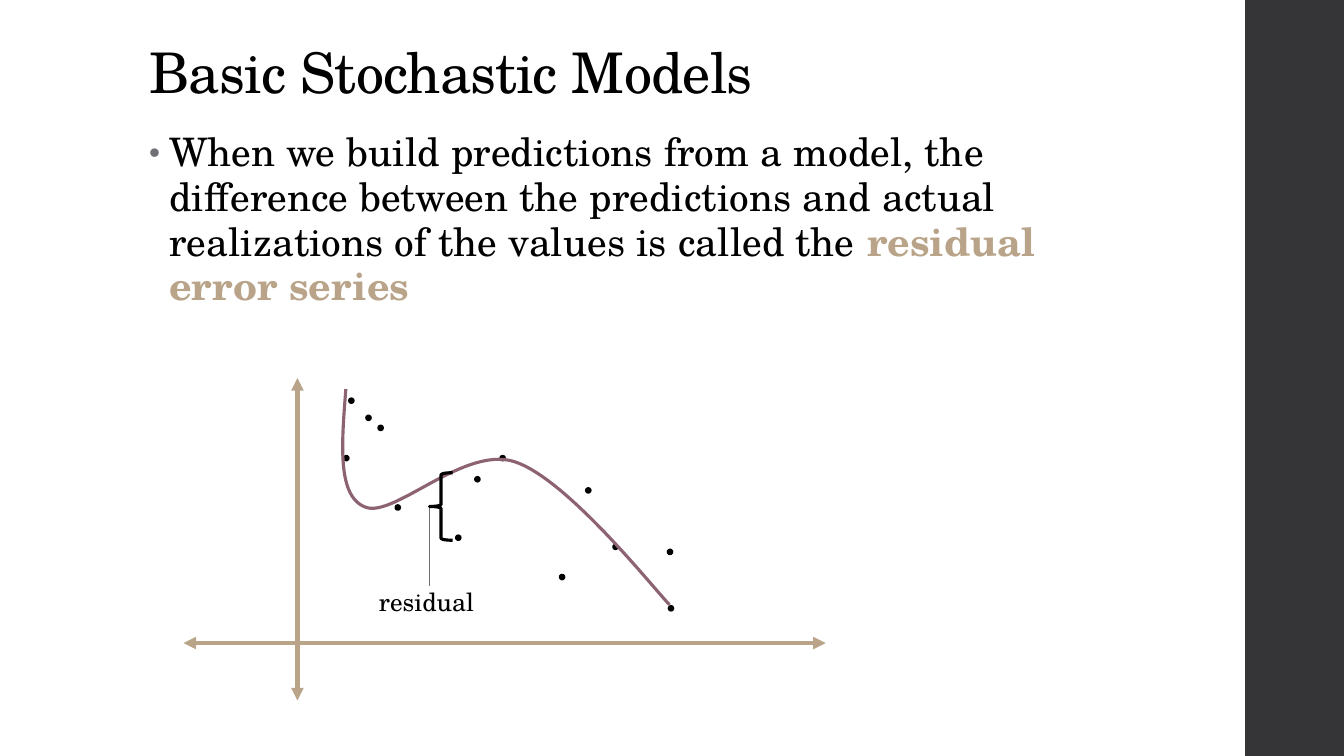
from dataclasses import dataclass

from lxml.etree import SubElement
from pptx import Presentation
from pptx.dml.color import RGBColor
from pptx.enum.shapes import MSO_CONNECTOR as Connector, MSO_SHAPE as Shape
from pptx.enum.text import MSO_ANCHOR as Anchor, PP_ALIGN as Align
from pptx.oxml.ns import qn
from pptx.util import Inches, Pt


@dataclass(frozen=True)
class Theme:
    font: str = "TeX Gyre Schola"
    ink: str = "000000"
    sand: str = "B9A489"
    plum: str = "8D6374"
    gray: str = "6F6F74"
    charcoal: str = "353537"
    title: int = 40
    body: int = 28
    label: int = 18


theme = Theme()


def color(name):
    return RGBColor.from_string(name)


def add_text(para, text, size, ink=theme.ink, bold=False, tracking=0):
    """Add a formatted span; tracking is in points."""
    span = para.add_run()
    span.text = text
    span.font.name = theme.font
    span.font.size = Pt(size)
    span.font.bold = bold
    span.font.color.rgb = color(ink)
    if tracking:
        span.font._element.set("spc", str(round(tracking * 100)))


deck = Presentation()
deck.slide_width, deck.slide_height = Inches(13.33), Inches(7.5)
page = deck.slides.add_slide(deck.slide_layouts[5])
shapes = page.shapes

# Side band
band = shapes.add_shape(Shape.RECTANGLE, Inches(12.35), 0, Inches(1), Inches(7.5))
band.shadow.inherit = False
band.fill.solid()
band.fill.fore_color.rgb = color(theme.charcoal)
band.line.fill.background()

# Title
title = shapes.title
title.left, title.top = Inches(1.38), Inches(0.4)
title.width, title.height = Inches(10.6), Inches(1.45)
title.text_frame.vertical_anchor = Anchor.TOP
title.text_frame.word_wrap = True
para = title.text_frame.paragraphs[0]
para.alignment = Align.LEFT
para.line_spacing = 0.9
add_text(para, "Basic Stochastic Models", theme.title, tracking=-0.5)

# Definition
box = shapes.add_textbox(Inches(1.38), Inches(1.25), Inches(9.4), Inches(2.15))
box.text_frame.word_wrap = True
para = box.text_frame.paragraphs[0]
para.line_spacing = 0.95
para.space_before, para.space_after = Pt(14), Pt(2)
bullet = para._p.get_or_add_pPr()
bullet.set("marL", str(Inches(0.2)))
bullet.set("indent", str(Inches(-0.2)))
SubElement(SubElement(bullet, qn("a:buClr")), qn("a:srgbClr"), val=theme.gray)
SubElement(bullet, qn("a:buSzPct"), val="80000")
SubElement(bullet, qn("a:buFont"), typeface="Arial")
SubElement(bullet, qn("a:buChar"), char="•")
add_text(para, "When we build predictions from a model, the difference between the predictions "
         "and actual realizations of the values is called the ", theme.body, tracking=0.1)
add_text(para, "residual error series", theme.body, ink=theme.sand, bold=True, tracking=0.1)

# Axes and the leader of the residual label
lines = [
    ((2.95, 3.75, 2.95, 6.95), theme.sand, 3, True),
    ((1.82, 6.38, 8.19, 6.38), theme.sand, 3, True),
    ((4.26, 5.02, 4.26, 5.81), theme.gray, 0.75, False),
]
for ends, ink, weight, arrows in lines:
    line = shapes.add_connector(Connector.STRAIGHT, *map(Inches, ends))
    line.line.color.rgb = color(ink)
    line.line.width = Pt(weight)
    SubElement(line._element.spPr, qn("a:effectLst"))
    if arrows:
        for end in ("a:headEnd", "a:tailEnd"):
            SubElement(line.line._get_or_add_ln(), qn(end), type="triangle")

# Observations
observations = [
    (3.75, 4.22), (3.92, 5.01), (4.52, 5.31), (4.96, 4.52), (6.08, 5.4), (5.81, 4.84), (5.55, 5.7),
    (6.62, 5.45), (3.41, 4.52), (3.46, 3.95), (3.63, 4.12), (6.63, 6.01), (4.71, 4.73),
]
for left, top in observations:
    dot = shapes.add_shape(Shape.OVAL, Inches(left), Inches(top), Inches(0.05), Inches(0.05))
    dot.shadow.inherit = False
    dot.fill.solid()
    dot.fill.fore_color.rgb = color(theme.ink)
    dot.line.color.rgb = color(theme.ink)
    dot.line.width = Pt(1.1)

# Fitted curve: three cubic Bézier pieces, sampled evenly
knots = [
    (3.43, 3.86), (3.39, 4.39), (3.34, 4.92), (3.62, 5.03), (3.9, 5.15),
    (4.6, 4.42), (5.1, 4.58), (5.61, 4.74), (6.46, 5.81), (6.64, 6),
]
steps = 30
points = []
for first in range(0, len(knots) - 1, 3):
    for step in range(1, steps + 1):
        t = step / steps
        weights = ((1 - t) ** 3, 3 * t * (1 - t) ** 2, 3 * t ** 2 * (1 - t), t ** 3)
        piece = knots[first:first + 4]
        points.append(tuple(Inches(sum(w * knot[axis] for w, knot in zip(weights, piece)))
                            for axis in (0, 1)))
builder = shapes.build_freeform(*map(Inches, knots[0]))
builder.add_line_segments(points, close=False)
curve = builder.convert_to_shape()
curve.shadow.inherit = False
curve.fill.background()
curve.line.color.rgb = color(theme.plum)
curve.line.width = Pt(2.25)

# Residual brace and label
brace = shapes.add_shape(Shape.LEFT_BRACE, Inches(4.26), Inches(4.69), Inches(0.23), Inches(0.67))
brace.shadow.inherit = False
brace.fill.background()
brace.line.color.rgb = color(theme.ink)
brace.line.width = Pt(2.25)

label = shapes.add_textbox(Inches(3.66), Inches(5.77), Inches(1.2), Inches(0.4))
label.text_frame.word_wrap = True
add_text(label.text_frame.paragraphs[0], "residual", theme.label)

deck.save("out.pptx")
